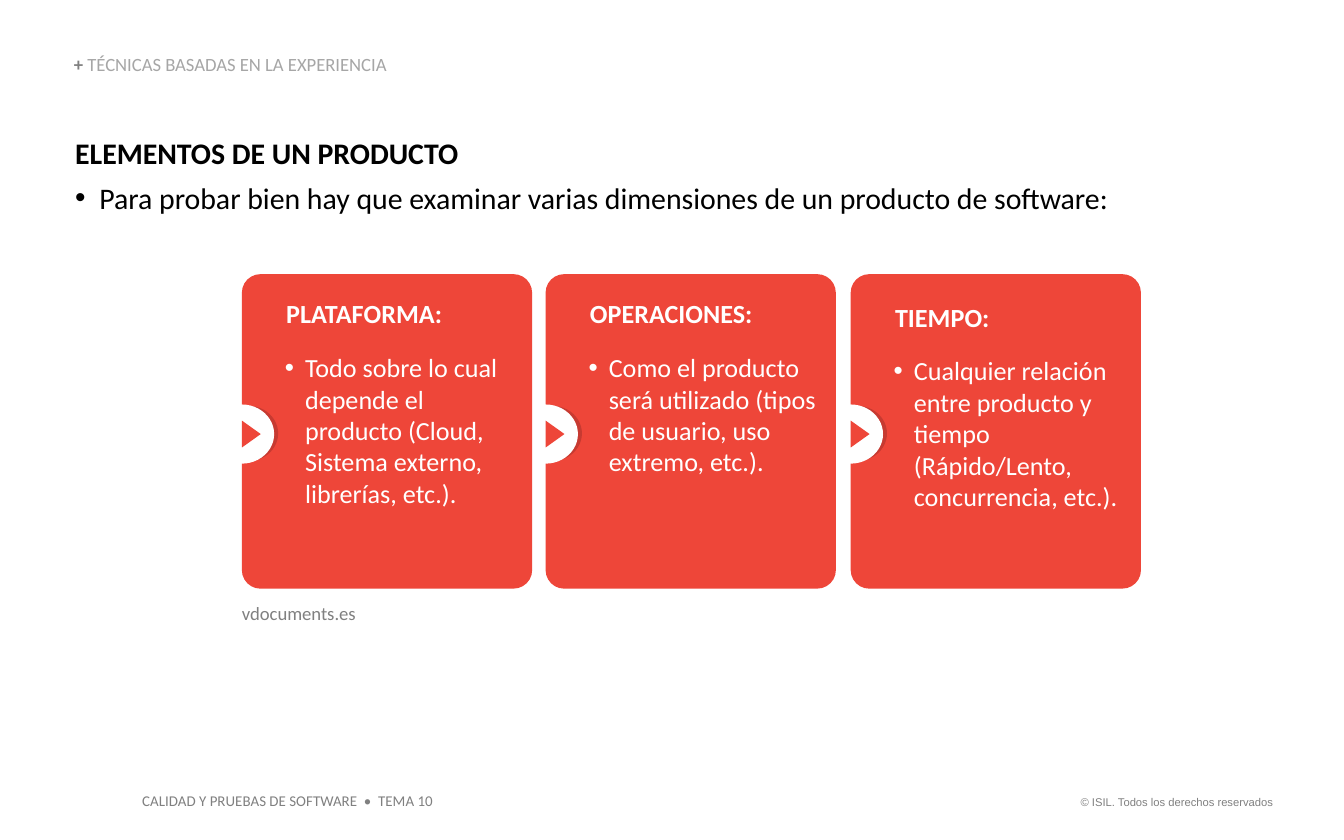
from lxml.etree import SubElement as Sub
from pptx import Presentation
from pptx.dml.color import RGBColor as RGB
from pptx.enum.shapes import MSO_SHAPE as Geo
from pptx.enum.text import MSO_ANCHOR as Anchor, PP_ALIGN as Align
from pptx.oxml.ns import qn
from pptx.util import Inches, Pt

HUES = {"red": "EE4639", "dark": "C73A31", "white": "FFFFFF",
        "black": "000000", "gray": "808080", "pale": "A6A6A6"}
CARDS = [
    (1.8, "PLATAFORMA:", 0.9,
     "Todo sobre lo cual depende el producto (Cloud, Sistema externo, librerías, etc.)."),
    (4.06, "OPERACIONES:", 0.9,
     "Como el producto será utilizado (tipos de usuario, uso extremo, etc.)."),
    (6.33, "TIEMPO:", 1.0,
     "Cualquier relación entre producto y tiempo (Rápido/Lento, concurrencia, etc.)."),
]


def assign(obj, vals):
    for name, val in vals.items():
        setattr(obj, name, val)


def setup(shape, pads=(0, 0, 0, 0), **vals):
    """Give a shape's text frame its insets and format; return the frame."""
    frame = shape.text_frame
    sides = ("margin_left", "margin_top", "margin_right", "margin_bottom")
    base = {"word_wrap": True, "vertical_anchor": Anchor.TOP}
    assign(frame, {**base, **dict(zip(sides, map(Inches, pads))), **vals})
    return frame


def indent(para, left, hang=0, hue=None):
    """Set the indent of a paragraph, with a bullet when a hue is given."""
    props = para._p.get_or_add_pPr()
    props.set("marL", str(Inches(left)))
    props.set("indent", str(Inches(hang)))
    if hue:
        Sub(Sub(props, qn("a:buClr")), qn("a:srgbClr"), val=HUES[hue])
        Sub(props, qn("a:buFont"), typeface="Arial")
        Sub(props, qn("a:buChar"), char="•")


def write(para, text, size, hue, bold=False, face="Calibri", **vals):
    assign(para, vals)
    run = para.add_run()
    run.text = text
    assign(run.font, {"size": Pt(size), "bold": bold, "name": face})
    run.font.color.rgb = RGB.from_string(HUES[hue])


def add_box(slide, box, **vals):
    return setup(slide.shapes.add_textbox(*map(Inches, box)), **vals)


def add_form(slide, geo, box, hue):
    form = slide.shapes.add_shape(geo, *map(Inches, box))
    form.shadow.inherit = False
    form.fill.solid()
    form.fill.fore_color.rgb = RGB.from_string(HUES[hue])
    form.line.fill.background()
    return form


def add_title(slide, box):
    title = slide.shapes.title
    assign(title, dict(zip(("left", "top", "width", "height"), map(Inches, box))))
    para = setup(title, vertical_anchor=Anchor.BOTTOM).paragraphs[0]
    write(para, "+ ", 10, "gray", True, alignment=Align.LEFT, line_spacing=0.9)
    write(para, "TÉCNICAS BASADAS EN LA EXPERIENCIA", 10, "pale")


def add_intro(slide, box):
    frame = add_box(slide, box)
    head, point = frame.paragraphs[0], frame.add_paragraph()
    indent(head, 0.01)
    write(head, "ELEMENTOS DE UN PRODUCTO", 16, "black", True)
    indent(point, 0.19, -0.18, "black")
    write(point, "Para probar bien hay que examinar varias dimensiones de un "
          "producto de software:", 16, "black", space_before=Pt(5))


def add_card(slide, box, name, lead, body):
    """Place a red card and the round arrow on its left edge."""
    left, top = box[:2]
    card = add_form(slide, Geo.ROUNDED_RECTANGLE, box, "red")
    card.adjustments[0] = 0.064
    frame = setup(card, (0.28, 0.16, 0, 0.05))
    head, point = frame.paragraphs[0], frame.add_paragraph()
    indent(head, 0.01)
    write(head, name, 14, "white", True, alignment=Align.LEFT,
          line_spacing=lead, space_after=Pt(12))
    indent(point, 0.15, -0.15, "white")
    write(point, body, 14, "white", alignment=Align.LEFT)

    add_form(slide, Geo.OVAL, (left - 0.17, top + 0.98, 0.44, 0.41), "dark")
    add_form(slide, Geo.OVAL, (left - 0.24, top + 0.97, 0.48, 0.44), "white")
    arrow = add_form(slide, Geo.ISOSCELES_TRIANGLE,
                     (left - 0.03, top + 1.12, 0.2, 0.14), "red")
    arrow.rotation = 90


def add_source(slide, box):
    write(add_box(slide, box).paragraphs[0], "vdocuments.es", 10, "gray")


def add_footer(slide, box):
    """Place the course name at the left and the rights at the right."""
    left, top, width, height = box
    pads = (0.1, 0.05, 0.1, 0.05)
    course = add_box(slide, (left, top, 2.37, height), pads=pads, word_wrap=False)
    write(course.paragraphs[0], "CALIDAD Y PRUEBAS DE SOFTWARE  •  TEMA 10", 8, "gray")
    rights = add_box(slide, (left + width - 1.69, top + 0.03, 1.69, 0.2),
                     pads=pads, word_wrap=False)
    write(rights.paragraphs[0], "© ISIL. Todos los derechos reservados", 6, "gray",
          face="Arial", alignment=Align.RIGHT)


def main():
    deck = Presentation()
    assign(deck, {"slide_width": Inches(10), "slide_height": Inches(6.25)})
    slide = deck.slides.add_slide(deck.slide_layouts[5])
    add_footer(slide, (0.96, 5.84, 8.61, 0.24))
    add_title(slide, (0.55, 0.41, 3.61, 0.15))
    # From right to left, so that each card covers the next one's circle
    for left, name, lead, body in reversed(CARDS):
        add_card(slide, (left, 2.04, 2.16, 2.34), name, lead, body)
    add_source(slide, (1.8, 4.48, 1.27, 0.17))
    add_intro(slide, (0.55, 1, 8.94, 0.61))
    deck.save("out.pptx")


if __name__ == "__main__":
    main()
